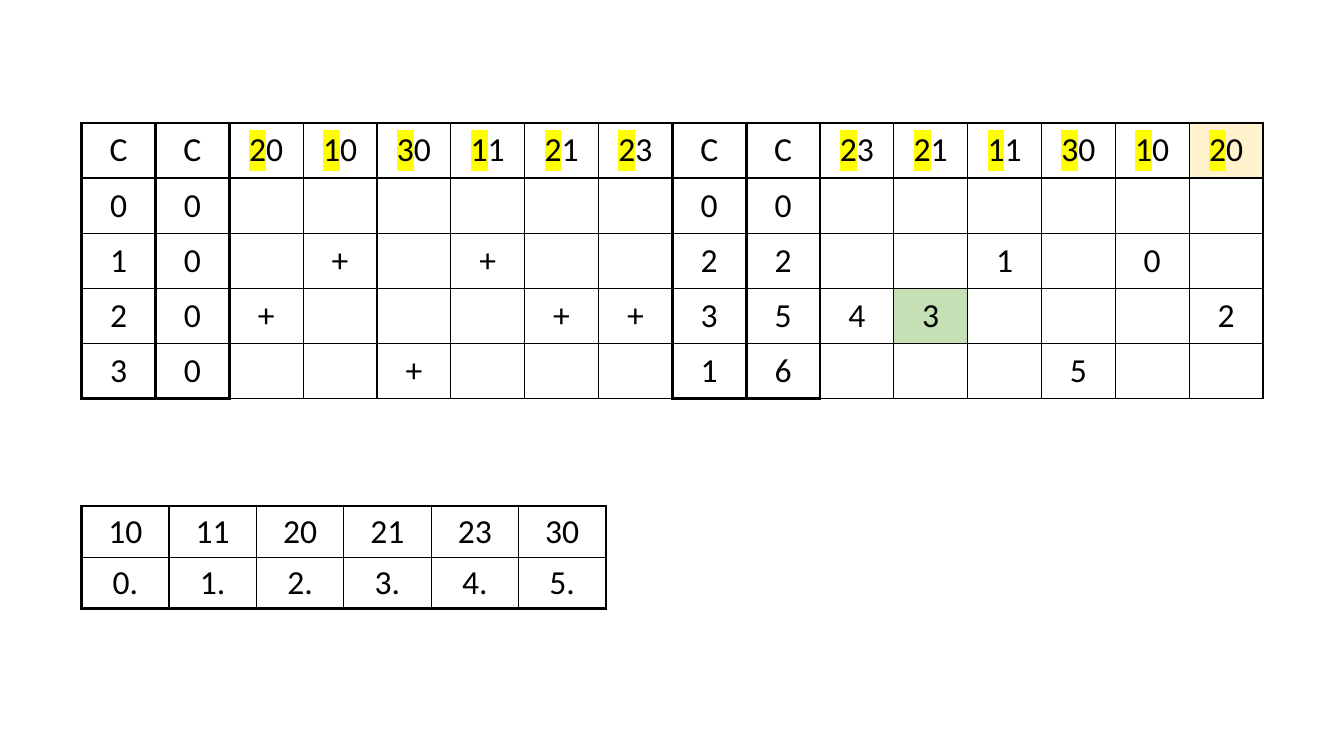
from lxml.etree import SubElement
from pptx import Presentation
from pptx.dml.color import RGBColor
from pptx.enum.text import MSO_ANCHOR, PP_ALIGN
from pptx.oxml.ns import qn
from pptx.util import Inches, Pt

BLACK = RGBColor(0x00, 0x00, 0x00)
YELLOW = RGBColor(0xFF, 0xFF, 0x00)
CREAM = RGBColor(0xFF, 0xF2, 0xCC)
GREEN = RGBColor(0xC5, 0xE0, 0xB4)

THIN, BOLD = Pt(1), Pt(2.25)
LEFT = 0.81
COUNTS = (0, 1, 8, 9)

SORT = [row.split() for row in (
    "C C 20 10 30 11 21 23 C C 23 21 11 30 10 20",
    "0 0 _ _ _ _ _ _ 0 0 _ _ _ _ _ _",
    "1 0 _ + _ + _ _ 2 2 _ _ 1 _ 0 _",
    "2 0 + _ _ _ + + 3 5 4 3 _ _ _ 2",
    "3 0 _ _ + _ _ _ 1 6 _ _ _ 5 _ _",
)]
ORDER = [row.split() for row in ("10 11 20 21 23 30", "0. 1. 2. 3. 4. 5.")]


def write(cell, text, size=24, font="Calibri", color=BLACK, mark=None):
    """Write centred text in a cell, with its first digit marked if asked."""
    cell.vertical_anchor = MSO_ANCHOR.MIDDLE
    para = cell.text_frame.paragraphs[0]
    para.alignment = PP_ALIGN.CENTER
    parts = (text[0], text[1:]) if mark else (text,)
    for num, part in enumerate(parts):
        run = para.add_run()
        run.text = part
        run.font.size = Pt(size)
        run.font.color.rgb = color
        if mark and num == 0:
            light = SubElement(run.font._element, qn("a:highlight"))
            SubElement(light, qn("a:srgbClr"), val=str(mark))
        run.font.name = font


def frame(cell, bold):
    """Draw the four borders of a cell, thick on the sides named in bold."""
    props = cell._tc.get_or_add_tcPr()
    for side in "LRTB":
        width = BOLD if side in bold else THIN
        line = SubElement(props, qn(f"a:ln{side}"), w=str(width))
        fill = SubElement(line, qn("a:solidFill"))
        SubElement(fill, qn("a:srgbClr"), val=str(BLACK))


def grid(slide, box, data, edge, fills=None, pad=None, mark=None):
    """Fill a box with an even table; edge gives the thick sides of a cell."""
    rows, cols = len(data), len(data[0])
    left, top, width, height = (Inches(part) for part in box)
    table = slide.shapes.add_table(rows, cols, left, top, width, height).table
    table.first_row = table.horz_banding = False
    for r, row in enumerate(data):
        for c, text in enumerate(row):
            cell = table.cell(r, c)
            frame(cell, edge(r, c))
            color = (fills or {}).get((r, c))
            if color:
                cell.fill.solid()
                cell.fill.fore_color.rgb = color
            else:
                cell.fill.background()
            if pad:
                cell.margin_left = cell.margin_right = Inches(pad[0])
                cell.margin_top = cell.margin_bottom = Inches(pad[1])
            if text != "_":
                write(cell, text, mark=mark if len(text) == 2 else None)


def sort_edge(r, c):
    """Name the thick sides in the sorting table."""
    count = c in COUNTS
    return "".join(side for side, thick in (
        ("L", count or c - 1 in COUNTS),
        ("R", count or c + 1 in COUNTS or (r == 0 and c == 15)),
        ("T", r <= 1),
        ("B", r == 0 or (count and r == 4)),
    ) if thick)


def order_edge(r, c):
    """Name the thick sides in the order table: its outline."""
    return ("T" if r == 0 else "B") + {0: "L", 5: "R"}.get(c, "")


def main():
    """Build the slide and save it."""
    deck = Presentation()
    deck.slide_width, deck.slide_height = Inches(13.33), Inches(7.5)
    slide = deck.slides.add_slide(deck.slide_layouts[6])
    grid(slide, (LEFT, 5.02, 5.2, 1), ORDER, order_edge)
    grid(slide, (LEFT, 1.22, 11.72, 2.68), SORT, sort_edge,
         fills={(0, 15): CREAM, (3, 11): GREEN}, pad=(0.13, 0.07), mark=YELLOW)
    deck.save("out.pptx")


if __name__ == "__main__":
    main()
